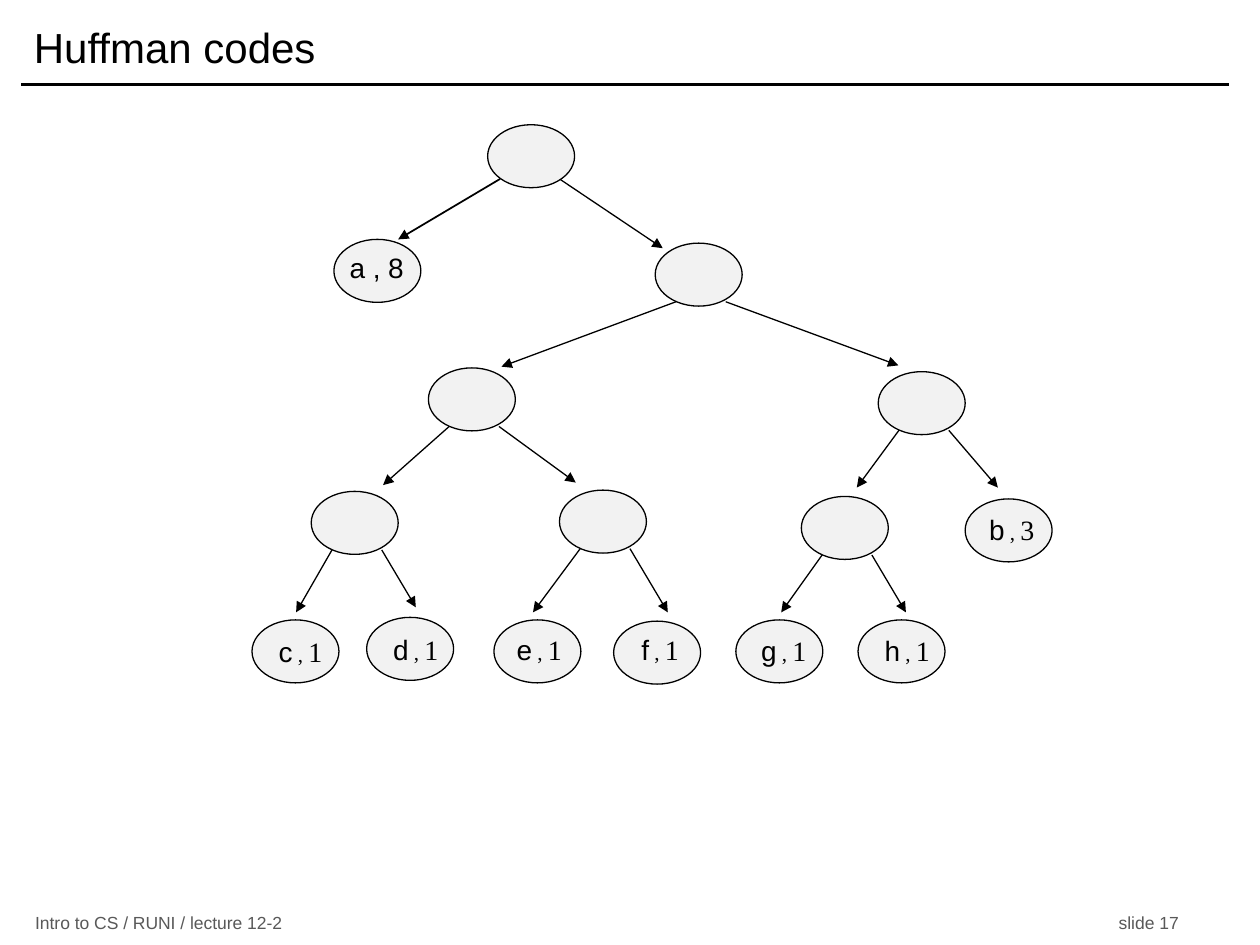
from lxml import etree
from pptx import Presentation
from pptx.dml.color import RGBColor
from pptx.enum.shapes import MSO_CONNECTOR, MSO_SHAPE
from pptx.enum.text import MSO_ANCHOR, PP_ALIGN
from pptx.oxml.ns import qn
from pptx.util import Pt

STRAIGHT = MSO_CONNECTOR.STRAIGHT
OVAL = MSO_SHAPE.OVAL
MIDDLE, TOP = MSO_ANCHOR.MIDDLE, MSO_ANCHOR.TOP
CENTER, LEFT = PP_ALIGN.CENTER, PP_ALIGN.LEFT
SANS, SERIF = "Arial", "Times New Roman"
BLACK, NODE_GREY, FOOTER_GREY = "000000", "F2F2F2", "595959"

# Slide and a grid of 100 columns by 75 rows, with square cells
CELL = 91440
COLUMNS, ROWS = 100, 75
prs = Presentation()
prs.slide_width, prs.slide_height = COLUMNS * CELL, ROWS * CELL
slide = prs.slides.add_slide(prs.slide_layouts[6])
shapes = slide.shapes
rgb = RGBColor.from_string


def add_line(start, end, weight, arrow=False):
    ends = [round(value * CELL) for value in (*start, *end)]
    line = shapes.add_connector(STRAIGHT, *ends)
    line.line.color.rgb = rgb(BLACK)
    line.line.width = Pt(weight)
    if arrow:
        etree.SubElement(line.line._get_or_add_ln(), qn("a:tailEnd"), type="triangle")
    etree.SubElement(line._element.spPr, qn("a:effectLst"))


def add_text(area, runs, color=BLACK, align=LEFT, anchor=MIDDLE, wrap=True):
    frame = shapes.add_textbox(*[round(value * CELL) for value in area]).text_frame
    frame.word_wrap = wrap
    frame.vertical_anchor = anchor
    paragraph = frame.paragraphs[0]
    paragraph.alignment = align
    for text, size, font in runs:
        run = paragraph.add_run()
        run.text = text
        run.font.size, run.font.name = Pt(size), font
        run.font.color.rgb = rgb(color)
    return paragraph


# Title, rule and footer; the slide number sits at a tab stop
add_line((1.7, 6.7), (97.5, 6.7), 2)
add_text((1.7, 0.8, 95.8, 5.8), [("Huffman codes", 24, SANS)])
footer = add_text((1.8, 72.3, 94.2, 1.9),
                  [("Intro to CS / RUNI / lecture 12-2\tslide 17", 10, SANS)], FOOTER_GREY)
tabs = etree.SubElement(footer._p.get_or_add_pPr(), qn("a:tabLst"))
etree.SubElement(tabs, qn("a:tab"), pos=str(86 * CELL), algn="l")

# Inner nodes: corner, then the tips of the left and right branches
root = (38.7, 9.9)
branches = {
    root: ((31.6, 19), (52.6, 19.7)),
    (52, 19.3): ((39.8, 29.1), (71.3, 29)),
    (34, 29.2): ((30.4, 38.5), (45.7, 38.3)),
    (69.7, 29.5): ((68, 38.7), (79.2, 38.7)),
    (24.7, 39): ((23.5, 48.6), (33, 48.2)),
    (44.4, 38.9): ((42.3, 48.6), (53, 48.6)),
    (63.6, 39.4): ((62, 48.6), (71.9, 48.6)),
}
# Leaves: symbol, count, corner, then left, top and width of the label
leaves = [
    ("a", 8, (26.5, 19), (26.7, 19.4, 6.4)),
    ("b", 3, (76.6, 39.6), (77.5, 40.2, 5.6)),
    ("c", 1, (20, 49.2), (21.1, 49.9, 5.5)),
    ("d", 1, (29.1, 49), (30.2, 49.7, 5.6)),
    ("e", 1, (39.2, 49.2), (40, 49.7, 5.6)),
    ("f", 1, (48.7, 49.3), (49.9, 49.7, 5)),
    ("g", 1, (58.4, 49.2), (59.4, 49.8, 5.6)),
    ("h", 1, (68.1, 49.2), (69.2, 49.8, 5.6)),
]

# Branches leave each node low on its left and right
for (left, top), tips in branches.items():
    exits, drop = ((1, 5.7), 4.3) if (left, top) == root else ((1.65, 5.6), 4.65)
    for side, (offset, tip) in enumerate(zip(exits, tips)):
        weight = 1 if (left, top) == root and side == 0 else 0.75
        add_line((left + offset, top + drop), tip, weight, arrow=True)

# Node ovals
for left, top in [*branches, *[leaf[2] for leaf in leaves]]:
    node = shapes.add_shape(OVAL, *[round(v * CELL) for v in (left, top, 6.9, 5)])
    node.shadow.inherit = False
    node.fill.solid()
    node.fill.fore_color.rgb = rgb(NODE_GREY)
    node.line.color.rgb = rgb(BLACK)
    node.line.width = Pt(0.75)

# Leaf labels
for symbol, count, corner, (left, top, width) in leaves:
    if symbol == "a":
        runs = [(f"{symbol} , {count}", 16, SANS)]
    else:
        runs = [(symbol, 16, SANS), (" , ", 12, SERIF), (str(count), 16, SERIF)]
    add_text((left, top, width, 3.7), runs, align=CENTER, anchor=TOP, wrap=False)

prs.save("out.pptx")
